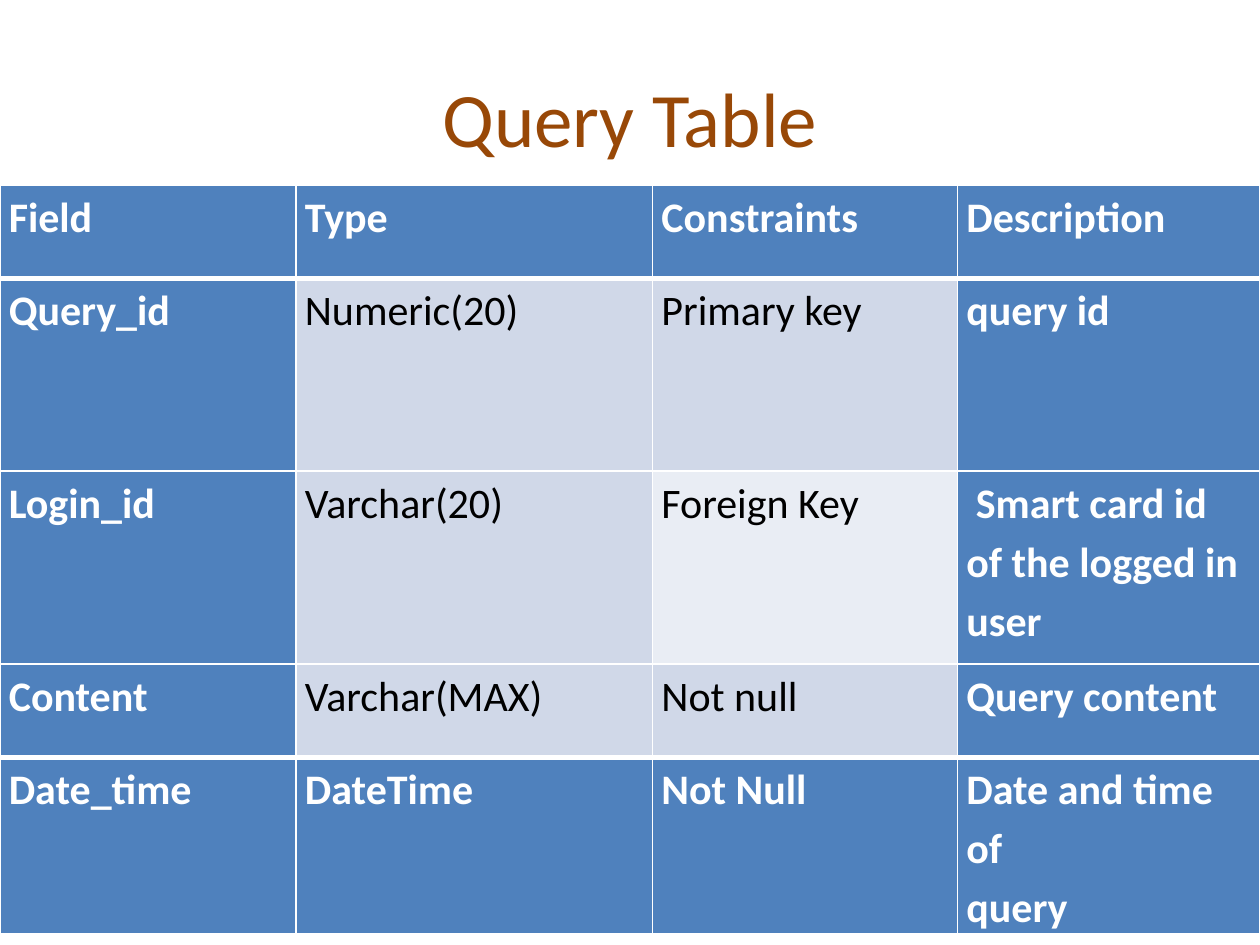
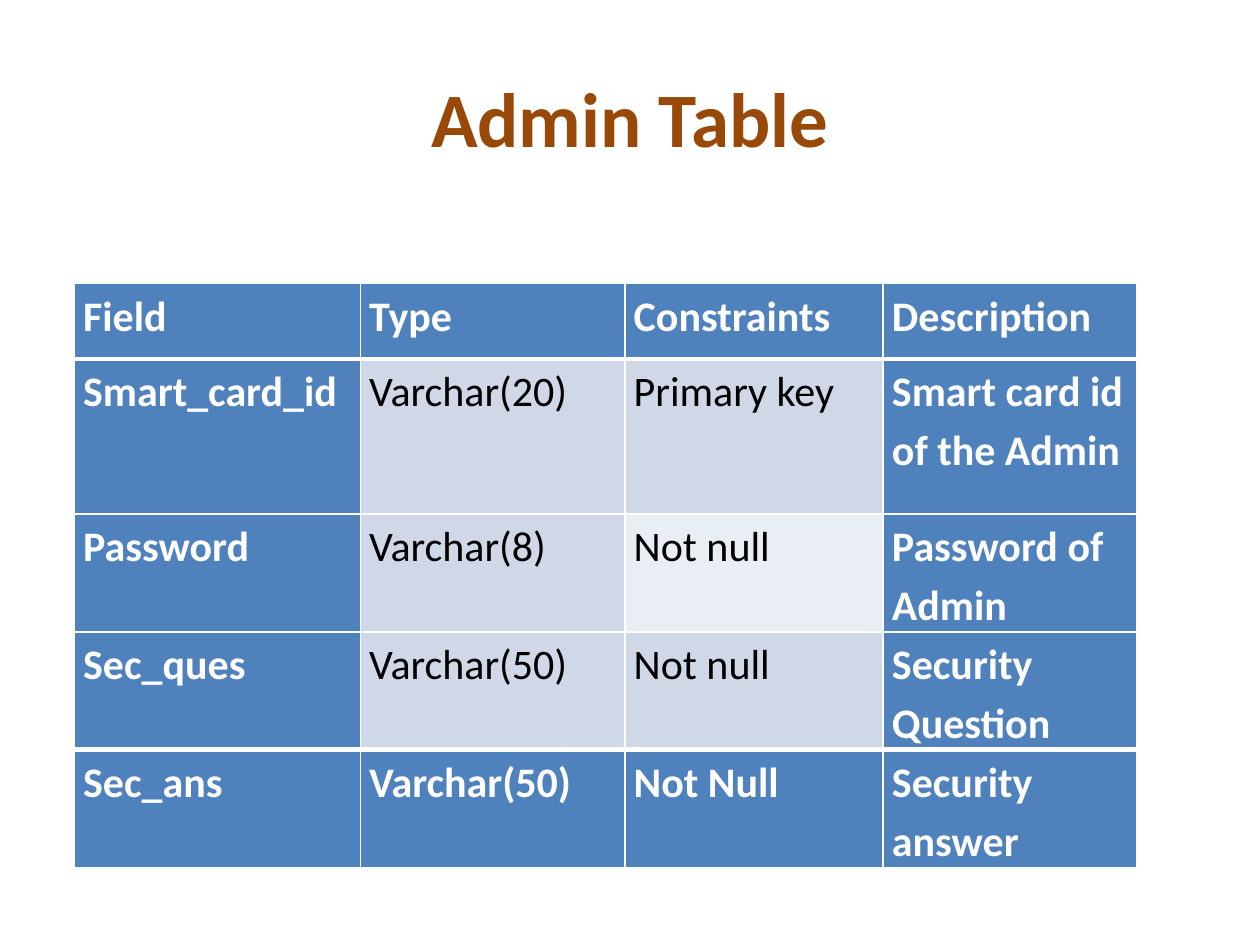
"""Build two slides that describe the Query and Admin database tables."""
from lxml.etree import SubElement
from pptx import Presentation
from pptx.dml.color import RGBColor
from pptx.enum.text import MSO_ANCHOR, PP_ALIGN
from pptx.oxml.ns import qn
from pptx.util import Inches, Pt

HEADINGS = ("Field", "Type", "Constraints", "Description")
SLIDES = [
    {
        "title": "Query Table",
        "title_bold": False,
        "origin": (0, 1.47),
        "columns": (2.35, 2.83, 2.42, 2.4),
        "rows": (0.74, 1.53, 1.53, 0.74, 0.98),
        "fields": [
            ("Query_id", "Numeric(20)", "Primary key", "query id"),
            ("Login_id", "Varchar(20)", "Foreign Key", " Smart card id of the logged in user"),
            ("Content", "Varchar(MAX)", "Not null", "Query content"),
            ("Date_time", "DateTime", "Not Null", "Date and time of\nquery"),
        ],
    },
    {
        "title": "Admin Table",
        "title_bold": True,
        "origin": (0.59, 2.25),
        "columns": (2.27, 2.1, 2.05, 2.01),
        "rows": (0.6, 1.23, 0.6, 0.6, 0.6),
        "fields": [
            ("Smart_card_id", "Varchar(20)", "Primary key", "Smart card id of the Admin"),
            ("Password", "Varchar(8)", "Not null", "Password of Admin"),
            ("Sec_ques", "Varchar(50)", "Not null", "Security Question"),
            ("Sec_ans", "Varchar(50)", "Not Null", "Security answer"),
        ],
    },
]

FONT = "Calibri"
BROWN = RGBColor(0x98, 0x48, 0x07)
BLUE = RGBColor(0x4F, 0x81, 0xBD)
BAND = RGBColor(0xD0, 0xD8, 0xE8)
PALE = RGBColor(0xE9, 0xED, 0xF4)
WHITE = RGBColor(0xFF, 0xFF, 0xFF)
BLACK = RGBColor(0, 0, 0)
THIN, THICK = 1, 3


def write(frame, text, size=24, color=WHITE, bold=True, align=PP_ALIGN.LEFT, spacing=1.15):
    frame.text = text
    for paragraph in frame.paragraphs:
        paragraph.alignment = align
        paragraph.line_spacing = spacing
        for run in paragraph.runs:
            run.font.name = FONT
            run.font.size = Pt(size)
            run.font.bold = bold
            run.font.color.rgb = color


def draw_borders(cell, top, bottom):
    properties = cell._tc.get_or_add_tcPr()
    for side, width in (("L", THIN), ("R", THIN), ("T", top), ("B", bottom)):
        line = SubElement(properties, qn(f"a:ln{side}"), w=str(Pt(width)))
        SubElement(SubElement(line, qn("a:solidFill")), qn("a:srgbClr"), val=str(WHITE))


def format_cell(cell, text, row, column, last_row, last_column):
    on_edge = row in (0, last_row) or column in (0, last_column)
    cell.margin_left = cell.margin_right = Inches(0.07)
    cell.margin_top = cell.margin_bottom = 0
    draw_borders(
        cell,
        top=THICK if row in (1, last_row) else THIN,
        bottom=THICK if row in (0, last_row - 1) else THIN,
    )
    cell.fill.solid()
    if on_edge:
        cell.fill.fore_color.rgb = BLUE
    else:
        cell.fill.fore_color.rgb = PALE if column == 2 and row % 2 == 0 else BAND
    write(cell.text_frame, text, color=WHITE if on_edge else BLACK, bold=on_edge)


def add_field_table(slide, content):
    records = [HEADINGS, *content["fields"]]
    widths, heights = content["columns"], content["rows"]
    lengths = (*content["origin"], sum(widths), sum(heights))
    table = slide.shapes.add_table(len(records), len(HEADINGS), *map(Inches, lengths)).table
    table.first_col = table.last_col = table.last_row = True
    for column, width in zip(table.columns, widths):
        column.width = Inches(width)
    for row, height in zip(table.rows, heights):
        row.height = Inches(height)
    for r, record in enumerate(records):
        for c, text in enumerate(record):
            format_cell(table.cell(r, c), text, r, c, len(records) - 1, len(HEADINGS) - 1)


def add_slide(deck, content):
    slide = deck.slides.add_slide(deck.slide_layouts[5])
    title = slide.shapes.title
    title.left, title.top, title.width, title.height = map(Inches, (0.5, 0.3, 9, 1.25))
    title.text_frame.vertical_anchor = MSO_ANCHOR.MIDDLE
    write(title.text_frame, content["title"], size=44, color=BROWN,
          bold=content["title_bold"], align=PP_ALIGN.CENTER, spacing=1.0)
    add_field_table(slide, content)


def main():
    deck = Presentation()
    deck.slide_width, deck.slide_height = Inches(10), Inches(7.5)
    for content in SLIDES:
        add_slide(deck, content)
    deck.save("out.pptx")


if __name__ == "__main__":
    main()
